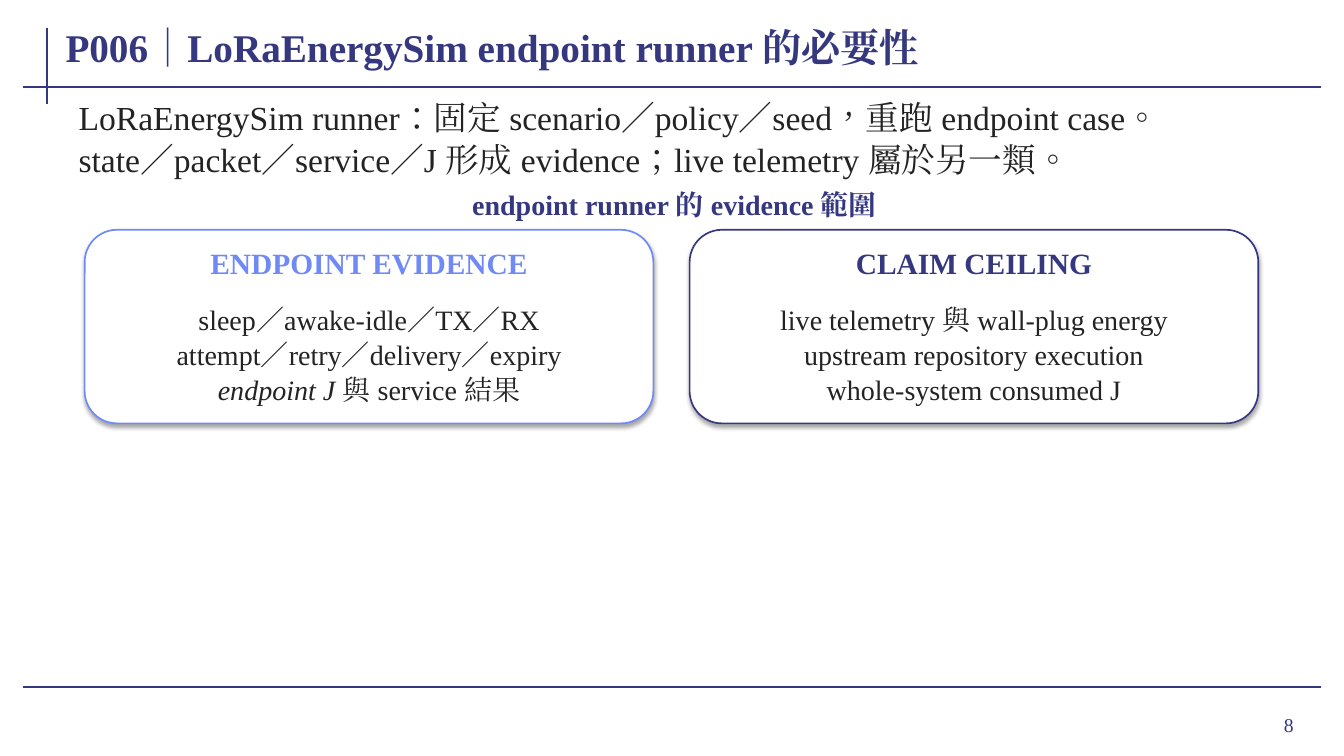
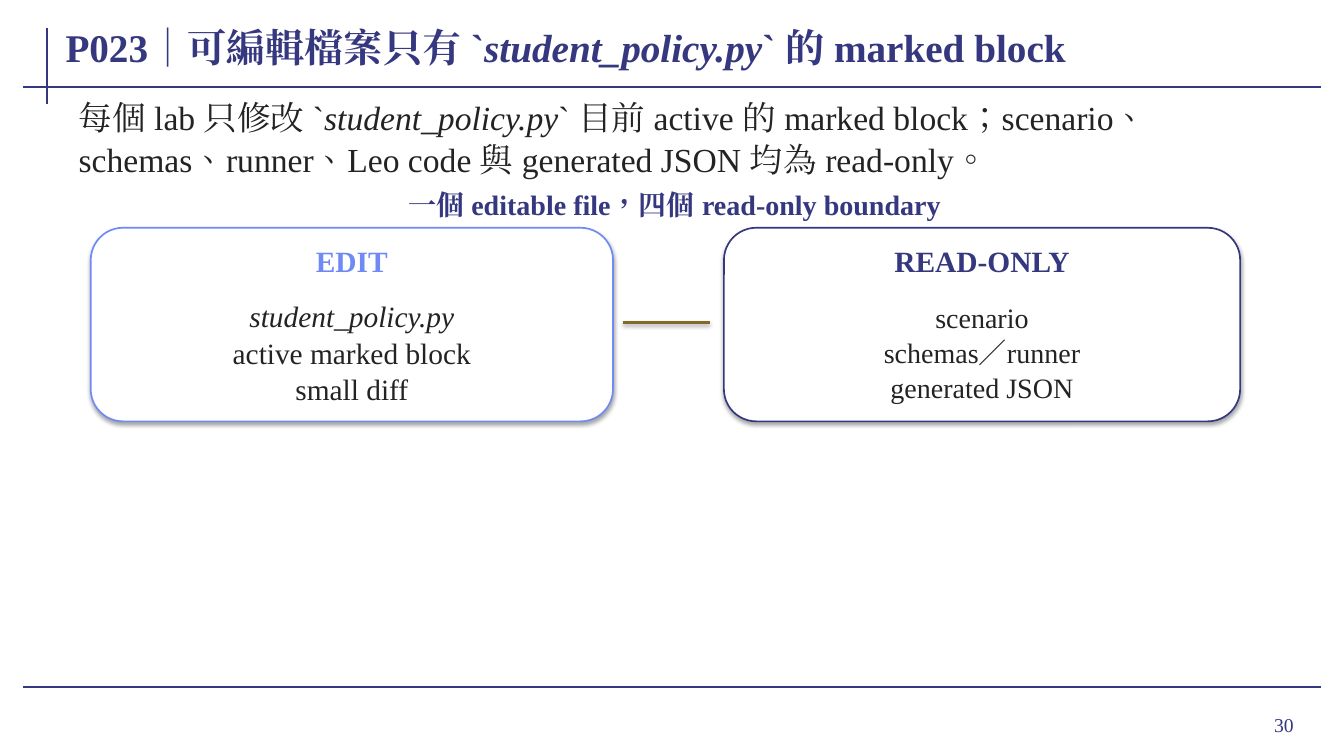
from dataclasses import dataclass
from lxml.etree import SubElement
from pptx import Presentation
from pptx.dml.color import RGBColor
from pptx.enum.lang import MSO_LANGUAGE_ID
from pptx.enum.shapes import MSO_CONNECTOR, MSO_SHAPE
from pptx.enum.text import MSO_ANCHOR, MSO_AUTO_SIZE, PP_ALIGN
from pptx.oxml.ns import qn
from pptx.util import Inches, Pt


@dataclass(frozen=True)
class Theme:
    """Colours, font and type sizes of the deck."""
    navy: str = "35377F"
    blue: str = "6F89F7"
    ink: str = "232323"
    gold: str = "846826"
    white: str = "FFFFFF"
    font: str = "Times New Roman"
    title: int = 28
    lead: int = 24
    head: int = 21
    body: int = 20
    page: int = 14
    space: float = 1.04


THEME = Theme()
RULES = [(0.47, 0.28, 0.47, 1.03), (0.23, 0.86, 13.1, 0.86), (0.23, 6.82, 13.1, 6.82)]
HIGH = 1.92

# Each paragraph is a tuple of runs; every second run is italic.
SLIDES = [
    dict(
        page="8",
        title=[("P006｜LoRaEnergySim endpoint runner 的必要性",)],
        lead=[
            ("LoRaEnergySim runner：固定 scenario／policy／seed，重跑 endpoint case。",),
            ("state／packet／service／J 形成 evidence；live telemetry 屬於另一類。",),
        ],
        head=[("endpoint runner 的 evidence 範圍",)],
        top=2.28,
        cards=[
            dict(left=0.84, width=5.64, color=THEME.blue, size=THEME.body,
                 label="ENDPOINT EVIDENCE",
                 lines=[("sleep／awake-idle／TX／RX",),
                        ("attempt／retry／delivery／expiry",),
                        ("", "endpoint J", " 與 service 結果")]),
            dict(left=6.84, width=5.64, color=THEME.navy, size=THEME.body,
                 label="CLAIM CEILING",
                 lines=[("live telemetry 與 wall-plug energy",),
                        ("upstream repository execution",),
                        ("whole-system consumed J",)]),
        ],
        links=[],
    ),
    dict(
        page="30",
        title=[("P023｜可編輯檔案只有 `", "student_policy.py", "` 的 marked block")],
        lead=[("每個 lab 只修改 `", "student_policy.py",
               "` 目前 active 的 marked block；scenario、schemas、runner、"
               "Leo code 與 generated JSON 均為 read-only。")],
        head=[("一個 editable file，四個 read-only boundary",)],
        top=2.26,
        cards=[
            dict(left=0.9, width=5.18, color=THEME.blue, size=THEME.head,
                 label="EDIT",
                 lines=[("", "student_policy.py"), ("active marked block",), ("small diff",)]),
            dict(left=7.18, width=5.12, color=THEME.navy, size=THEME.body,
                 label="READ-ONLY",
                 lines=[("scenario",), ("schemas／runner",), ("generated JSON",)]),
        ],
        links=[(6.18, 3.2, 7.04, 3.2)],
    ),
]


def shade(effects, alpha, dist):
    """Add a soft black shadow that falls straight down."""
    outer = SubElement(effects, qn("a:outerShdw"), blurRad=str(Pt(3.1)), dist=str(Pt(dist)),
                       dir="5400000", algn="ctr", rotWithShape="0")
    black = SubElement(outer, qn("a:srgbClr"), val="000000")
    SubElement(black, qn("a:alpha"), val=str(alpha * 1000))


def rule(slide, ends, color, width):
    """Draw a straight line and return its effect list."""
    line = slide.shapes.add_connector(MSO_CONNECTOR.STRAIGHT, *map(Inches, ends))
    line.line.color.rgb = RGBColor.from_string(color)
    line.line.width = Pt(width)
    return SubElement(line._element.spPr, qn("a:effectLst"))


def write(shape, paras, size, color, bold=False, align=PP_ALIGN.LEFT,
          anchor=MSO_ANCHOR.MIDDLE, pad=(0, 0), fit=MSO_AUTO_SIZE.SHAPE_TO_FIT_TEXT, space=None):
    """Fill a shape with styled paragraphs."""
    frame = shape.text_frame
    frame.word_wrap = True
    frame.auto_size = fit
    frame.vertical_anchor = anchor
    frame.margin_left = frame.margin_right = Inches(pad[0])
    frame.margin_top = frame.margin_bottom = Inches(pad[1])
    for i, parts in enumerate(paras):
        para = frame.paragraphs[0] if i == 0 else frame.add_paragraph()
        para.alignment = align
        if space:
            para.line_spacing = space
        for j, text in enumerate(parts):
            if not text:
                continue
            run = para.add_run()
            run.text = text
            font = run.font
            font.size, font.bold, font.italic = Pt(size), bold, j % 2 == 1
            font.color.rgb = RGBColor.from_string(color)
            font.name = THEME.font
            font.language_id = MSO_LANGUAGE_ID.TRADITIONAL_CHINESE
            SubElement(run._r.get_or_add_rPr(), qn("a:ea"), typeface=THEME.font)


def label(slide, box, paras, size, color, **style):
    """Add a text box."""
    write(slide.shapes.add_textbox(*map(Inches, box)), paras, size, color, **style)


def card(slide, top, item):
    """Draw a rounded card with a heading and centred lines."""
    left, width, color = item["left"], item["width"], item["color"]
    shape = slide.shapes.add_shape(MSO_SHAPE.ROUNDED_RECTANGLE,
                                   *map(Inches, (left, top, width, HIGH)))
    shape.fill.solid()
    shape.fill.fore_color.rgb = RGBColor.from_string(THEME.white)
    shape.line.color.rgb = RGBColor.from_string(color)
    shape.line.width = Pt(1.2)
    shape.shadow.inherit = False
    shade(shape._element.spPr.find(qn("a:effectLst")), 35, 1.8)
    label(slide, (left + 0.14, top + 0.16, width - 0.28, 0.34), [(item["label"],)],
          THEME.head, color, bold=True, align=PP_ALIGN.CENTER, pad=(0.01, 0))
    label(slide, (left + 0.18, top + 0.66, width - 0.36, 1.14), item["lines"],
          item["size"], THEME.ink, align=PP_ALIGN.CENTER, pad=(0.03, 0.01), space=THEME.space)


def base(slide, data):
    """Place the rules, page number and title that all slides share."""
    for ends in RULES:
        rule(slide, ends, THEME.navy, 1.5)
    label(slide, (11.96, 6.93, 0.97, 0.52), [(data["page"],)], THEME.page, THEME.navy,
          align=PP_ALIGN.RIGHT, pad=(0.1, 0.05), fit=MSO_AUTO_SIZE.NONE)
    title = slide.shapes.title
    title.left, title.top, title.width, title.height = map(Inches, (0.62, 0.15, 12.49, 0.62))
    write(title, data["title"], THEME.title, THEME.navy, bold=True,
          pad=(0.03, 0.01), fit=MSO_AUTO_SIZE.NONE)


def main():
    """Build and save the deck."""
    deck = Presentation()
    deck.slide_width, deck.slide_height = Inches(13.33), Inches(7.5)
    for data in SLIDES:
        slide = deck.slides.add_slide(deck.slide_layouts[5])
        base(slide, data)
        label(slide, (0.72, 0.93, 11.9, 0.84), data["lead"], THEME.lead, THEME.ink,
              anchor=MSO_ANCHOR.TOP, pad=(0.06, 0.02), space=THEME.space)
        label(slide, (0.84, 1.87, 11.7, 0.32), data["head"], THEME.body, THEME.navy,
              bold=True, align=PP_ALIGN.CENTER, pad=(0.02, 0))
        for item in data["cards"]:
            card(slide, data["top"], item)
        for ends in data["links"]:
            shade(rule(slide, ends, THEME.gold, 1.8), 38, 1.6)
    deck.save("out.pptx")


if __name__ == "__main__":
    main()
